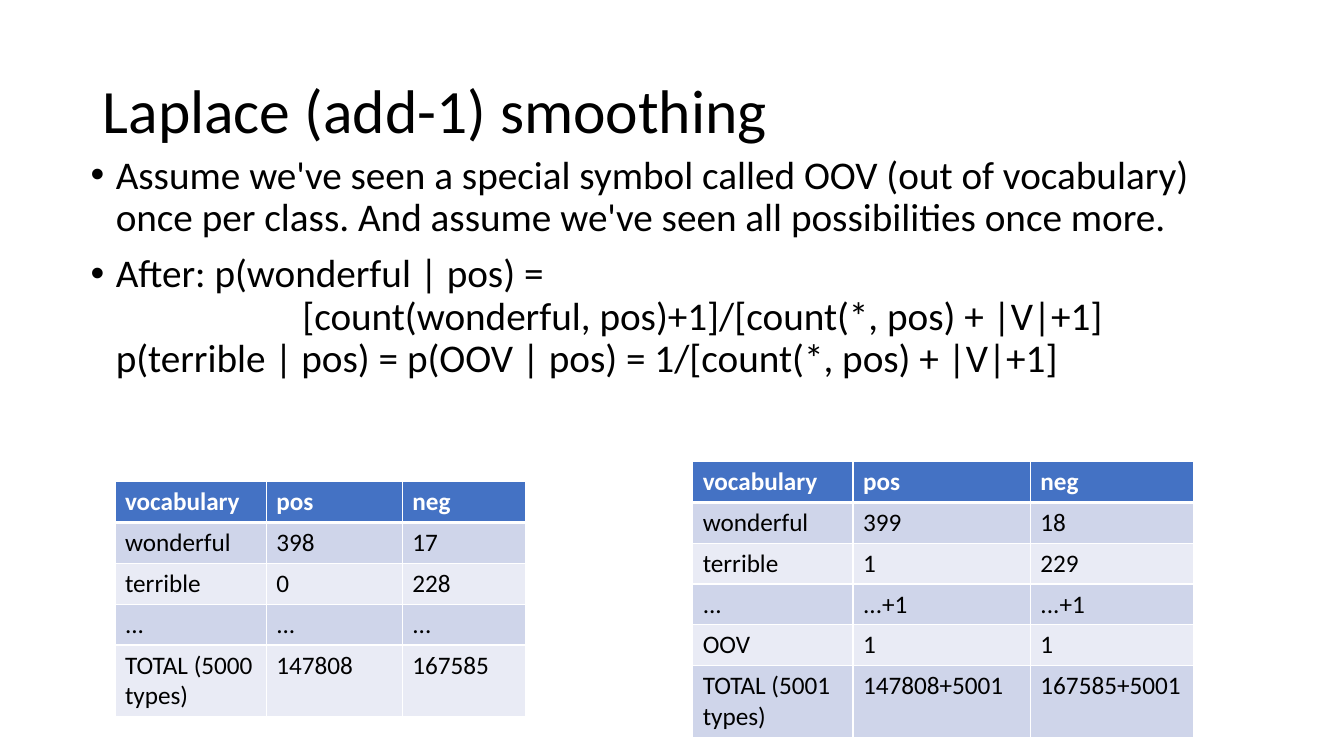
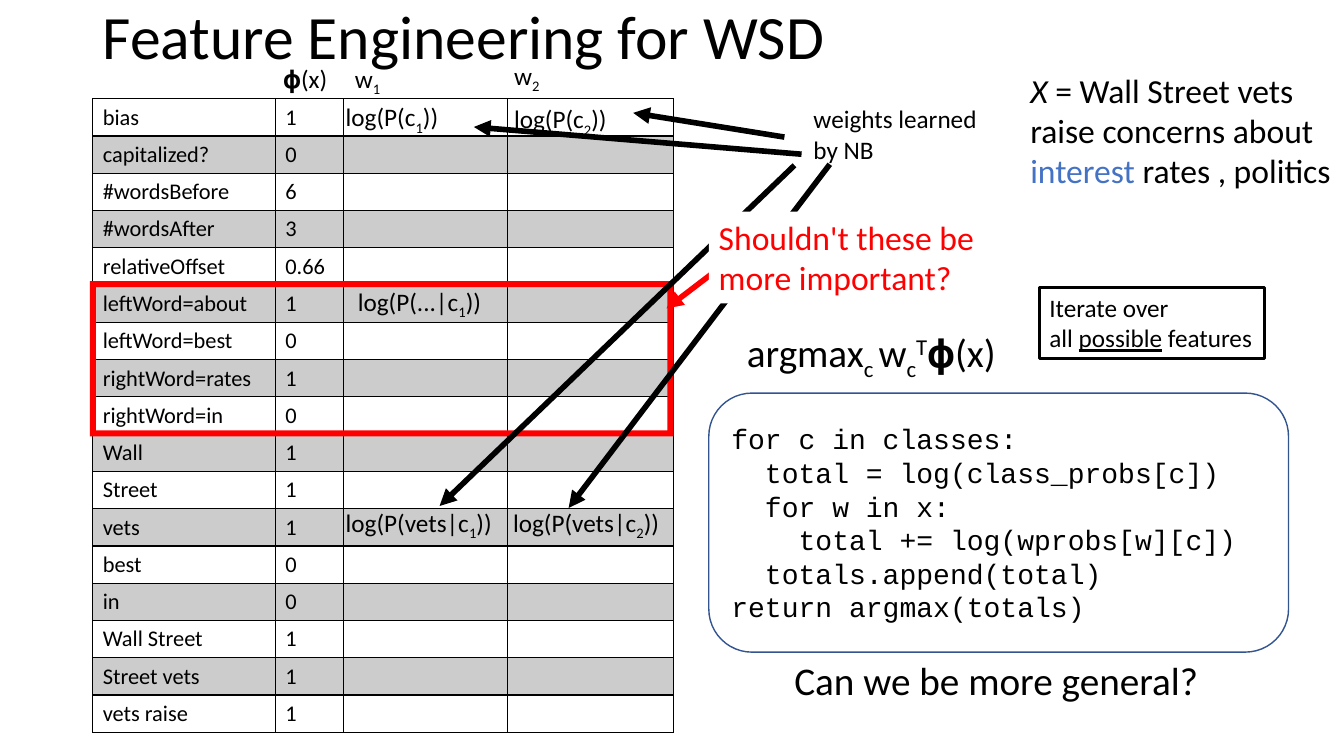
"""Build two slides on add-1 smoothing and feature engineering for word sense disambiguation."""
from lxml import etree
from pptx import Presentation
from pptx.dml.color import RGBColor
from pptx.enum.shapes import MSO_CONNECTOR, MSO_SHAPE
from pptx.enum.text import MSO_ANCHOR, PP_ALIGN
from pptx.oxml import parse_xml
from pptx.oxml.ns import nsdecls, qn
from pptx.util import Inches, Pt

TOP, MIDDLE, LEFT = MSO_ANCHOR.TOP, MSO_ANCHOR.MIDDLE, PP_ALIGN.LEFT
RECT, ROUNDED, FRAME = MSO_SHAPE.RECTANGLE, MSO_SHAPE.ROUNDED_RECTANGLE, MSO_SHAPE.FRAME
STRAIGHT = MSO_CONNECTOR.STRAIGHT
BLACK, WHITE, RED, BLUE = "000000", "FFFFFF", "FF0000", "4472C4"
BAND_DARK, BAND_LIGHT, BAND_GRAY, CODE_EDGE = "CFD5EA", "E9EBF5", "CCCCCC", "325491"
SUB, SUPER = {"baseline": -25000}, {"baseline": 30000}


def rgb(code):
    """Turn a hex string into a colour."""
    return RGBColor.from_string(code)


def write(frame, paragraphs, anchor=TOP, wrap=True, spacing=None, **style):
    """Fill a text frame with paragraphs made of strings or (string, format) runs."""
    frame.word_wrap, frame.vertical_anchor = wrap, anchor
    for index, runs in enumerate(paragraphs):
        paragraph = frame.add_paragraph() if index else frame.paragraphs[0]
        paragraph.alignment, paragraph.line_spacing = LEFT, spacing
        for piece in [runs] if isinstance(runs, str) else runs:
            text, extra = (piece, {}) if isinstance(piece, str) else piece
            run = paragraph.add_run()
            run.text = text
            values = {"name": "Calibri", "size": 18, "color": BLACK, **style, **extra}
            for key, value in values.items():
                if key == "color":
                    run.font.color.rgb = rgb(value)
                elif key == "baseline":
                    run.font._element.set(key, str(value))
                else:
                    setattr(run.font, key, Pt(value) if key == "size" else value)


deck = Presentation()
deck.slide_width, deck.slide_height = Inches(13.33), Inches(7.5)
smoothing, features = [deck.slides.add_slide(deck.slide_layouts[6]) for _ in range(2)]

for slide, top, title in [
    (smoothing, 0.4, "Laplace (add-1) smoothing"),
    (features, -0.33, "Feature Engineering for WSD"),
]:
    box = slide.shapes.add_textbox(Inches(0.92), Inches(top), Inches(11.5), Inches(1.45))
    write(box.text_frame, [title], MIDDLE, spacing=0.9, size=44)

body = smoothing.shapes.add_textbox(Inches(0.8), Inches(1.49), Inches(11.5), Inches(2.6)).text_frame
write(body, [
    "Assume we've seen a special symbol called OOV (out of vocabulary) once per class. "
    "And assume we've seen all possibilities once more.",
    "After: p(wonderful | pos) =",
    "[count(wonderful, pos)+1]/[count(*, pos) + |V|+1]",
    "p(terrible | pos) = p(OOV | pos) = 1/[count(*, pos) + |V|+1]",
], spacing=0.9, size=28)
outline = [(0.25, True, 0), (0.25, True, 10), (2.1, False, 0), (0.25, False, 0)]
for paragraph, (margin, bulleted, before) in zip(body.paragraphs, outline):
    paragraph.space_before = Pt(before)
    properties = paragraph._p.get_or_add_pPr()
    properties.set("marL", str(Inches(margin)))
    properties.set("indent", str(Inches(-0.25) if bulleted else 0))
    if bulleted:
        etree.SubElement(properties, qn("a:buFont")).set("typeface", "Arial")
        etree.SubElement(properties, qn("a:buChar")).set("char", "•")

header = ("vocabulary", "pos", "neg")
counts = [
    header,
    ("wonderful", "398", "17"),
    ("terrible", "0", "228"),
    ("...", "...", "..."),
    ("TOTAL (5000 types)", "147808", "167585"),
]
smoothed_counts = [
    header,
    ("wonderful", "399", "18"),
    ("terrible", "1", "229"),
    ("...", "...+1", "...+1"),
    ("OOV", "1", "1"),
    ("TOTAL (5001 types)", "147808+5001", "167585+5001"),
]
feature_values = [
    (name, value, "", "") for name, value in [
        ("bias", "1"), ("capitalized?", "0"), ("#wordsBefore", "6"), ("#wordsAfter", "3"),
        ("relativeOffset", "0.66"), ("leftWord=about", "1"), ("leftWord=best", "0"),
        ("rightWord=rates", "1"), ("rightWord=in", "0"), ("Wall", "1"), ("Street", "1"),
        ("vets", "1"), ("best", "0"), ("in", "0"), ("Wall Street", "1"),
        ("Street vets", "1"), ("vets raise", "1"),
    ]
]
count_look = {"edge": WHITE, "head": BLUE, "bands": (BAND_LIGHT, BAND_DARK),
              "rule": 3, "size": 18, "height": 0.405}
feature_look = {"edge": BLACK, "head": None, "bands": (None, BAND_GRAY),
                "rule": 2, "size": 16, "height": 0.37}

for slide, left, top, widths, rows, look in [
    (smoothing, 1.14, 4.78, (1.5, 1.35, 1.22), counts, count_look),
    (smoothing, 6.87, 4.58, (1.59, 1.76, 1.62), smoothed_counts, count_look),
    (features, 0.92, 0.98, (1.81, 0.68, 1.62, 1.65), feature_values, feature_look),
]:
    table = slide.shapes.add_table(
        len(rows), len(widths), Inches(left), Inches(top),
        Inches(sum(widths)), Inches(look["height"] * len(rows))).table
    table.first_row, table.horz_banding = bool(look["head"]), False
    for column, width in zip(table.columns, widths):
        column.width = Inches(width)
    for r, row in enumerate(rows):
        table.rows[r].height = Inches(0.71 if row[0].startswith("TOTAL") else look["height"])
        for c, text in enumerate(row):
            cell = table.cell(r, c)
            heading = r == 0 and look["head"]
            if text:
                write(cell.text_frame, [text], size=look["size"], bold=bool(heading),
                      color=WHITE if heading else BLACK)
            else:
                cell.margin_top = cell.margin_bottom = 0
            for side in "LRTB":
                heavy = (side == "B" and r == 0) or (side == "T" and r == 1)
                cell._tc.get_or_add_tcPr().append(parse_xml(
                    f'<a:ln{side} {nsdecls("a")} w="{Pt(look["rule"] if heavy else 1)}">'
                    f'<a:solidFill><a:srgbClr val="{look["edge"]}"/></a:solidFill></a:ln{side}>'))
            fill = look["head"] if r == 0 else look["bands"][r % 2]
            if fill:
                cell.fill.solid()
                cell.fill.fore_color.rgb = rgb(fill)
            else:
                cell.fill.background()

for left, top, width, height, size, wrap, paragraphs in [
    (2.71, 0.58, 0.66, 0.4, 18, False, ["𝛟(x)"]),
    (10.12, 0.64, 3.42, 1.31, 24, True, [[
        ("X", {"italic": True}), " = Wall Street vets raise concerns about ",
        ("interest ", {"color": BLUE}), "rates , politics"]]),
    (3.42, 0.58, 0.51, 0.4, 18, True, [["w", ("1", SUB)]]),
    (5, 0.55, 0.51, 0.4, 18, True, [["w", ("2", SUB)]]),
    (7.31, 3.21, 4.84, 0.88, 28, True, [[
        "argmax", ("c ", SUB), "w", ("c", SUB), ("T", SUPER), "𝛟(x)"]]),
    (3.33, 0.96, 1.14, 0.4, 18, False, [["log(P(c", ("1", SUB), "))"]]),
    (5, 0.98, 1.14, 0.4, 18, False, [["log(P(c", ("2", SUB), "))"]]),
    (3.45, 2.79, 1.45, 0.4, 18, False, [["log(P(...|c", ("1", SUB), "))"]]),
    (3.33, 4.98, 1.68, 0.4, 18, False, [["log(P(vets|c", ("1", SUB), "))"]]),
    (4.99, 4.98, 1.68, 0.4, 18, False, [["log(P(vets|c", ("2", SUB), "))"]]),
    (7.78, 6.46, 4.25, 0.57, 28, False, ["Can we be more general?"]),
    (7.97, 0.98, 1.84, 0.71, 18, False, ["weights learned", "by NB"]),
]:
    label = features.shapes.add_textbox(Inches(left), Inches(top), Inches(width), Inches(height))
    write(label.text_frame, paragraphs, wrap=wrap, size=size)

highlight = features.shapes.add_shape(FRAME, Inches(0.89), Inches(2.79), Inches(5.79), Inches(1.54))
highlight.adjustments[0] = 0.039
highlight.shadow.inherit = False
highlight.fill.solid()
highlight.fill.fore_color.rgb = rgb(RED)
highlight.line.fill.background()

for x1, y1, x2, y2, color in [
    (7.78, 1.36, 6.28, 1.12, BLACK),
    (7.95, 1.53, 4.7, 1.26, BLACK),
    (7.88, 1.64, 4.36, 5.02, BLACK),
    (8.23, 1.63, 5.64, 5.04, BLACK),
    (7.16, 2.64, 6.61, 3.06, RED),
]:
    arrow = features.shapes.add_connector(STRAIGHT, Inches(x1), Inches(y1), Inches(x2), Inches(y2))
    arrow.line.width = Pt(4)
    arrow.line.color.rgb = rgb(color)
    etree.SubElement(arrow.line._get_or_add_ln(), qn("a:tailEnd")).set("type", "triangle")
    etree.SubElement(arrow._element.spPr, qn("a:effectLst"))

code = [
    "for c in classes:",
    "  total = log(class_probs[c])",
    "  for w in x:",
    "    total += log(wprobs[w][c])",
    "  totals.append(total)",
    "return argmax(totals)",
]
iterate = ["Iterate over", ["all ", ("possible", {"underline": True}), " features"]]
question = ["Shouldn't these be more important?"]
for preset, left, top, width, height, fill, edge, weight, paragraphs, style in [
    (ROUNDED, 7.03, 3.9, 5.75, 2.57, None, CODE_EDGE, 1, code,
     {"anchor": MIDDLE, "name": "Courier New", "size": 20}),
    (RECT, 10.31, 2.85, 2.23, 0.71, None, BLACK, 2, iterate, {"wrap": False}),
    (RECT, 7.03, 2.1, 2.92, 0.91, WHITE, None, 0, question, {"size": 24, "color": RED}),
]:
    panel = features.shapes.add_shape(preset, Inches(left), Inches(top), Inches(width), Inches(height))
    panel.shadow.inherit = False
    for part, color in [(panel.fill, fill), (panel.line.fill, edge)]:
        if color:
            part.solid()
            part.fore_color.rgb = rgb(color)
        else:
            part.background()
    panel.line.width = Pt(weight)
    write(panel.text_frame, paragraphs, **style)

deck.save("out.pptx")
